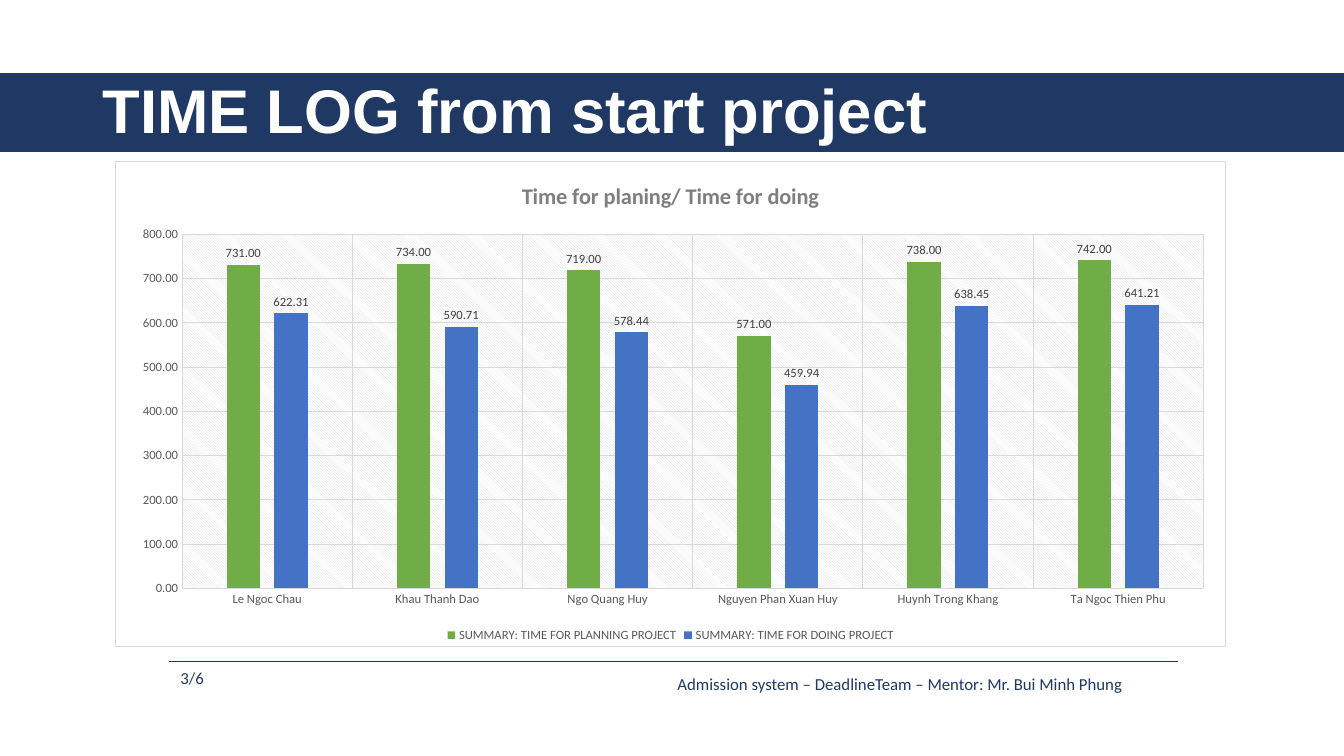
from lxml import etree
from pptx import Presentation
from pptx import util as u
from pptx.chart.data import CategoryChartData
from pptx.dml.color import RGBColor
from pptx.enum import chart as ch, shapes, text
from pptx.oxml import parse_xml
from pptx.oxml.ns import nsdecls, qn

WIDTH, HEIGHT = 13.33, 7.5
NAVY, WHITE, GRID, AXIS_TEXT = "203864", "FFFFFF", "D9D9D9", "595959"

MEMBERS = ["Le Ngoc Chau", "Khau Thanh Dao", "Ngo Quang Huy",
           "Nguyen Phan Xuan Huy", "Huynh Trong Khang", "Ta Ngoc Thien Phu"]
TIME_LOG = [
    ("SUMMARY: TIME FOR PLANNING PROJECT", "70AD47",
     [731, 734, 719, 571, 738, 742]),
    ("SUMMARY: TIME FOR DOING PROJECT", "4472C4",
     [622.31, 590.71, 578.44, 459.94, 638.45, 641.21]),
]


def color(hex_code):
    return RGBColor.from_string(hex_code)


def style_font(font, size, hex_code, name="Calibri", bold=False):
    font.size, font.name, font.bold = u.Pt(size), name, bold
    font.color.rgb = color(hex_code)


def style_line(line, hex_code, width):
    line.color.rgb = color(hex_code)
    line.width = u.Pt(width)


def add_text(slide, words, box, wrap=True, anchor=text.MSO_ANCHOR.TOP,
             spacing=1.0, **font_format):
    frame = slide.shapes.add_textbox(*map(u.Inches, box)).text_frame
    frame.word_wrap = wrap
    frame.vertical_anchor = anchor
    paragraph = frame.paragraphs[0]
    paragraph.line_spacing = spacing
    run = paragraph.add_run()
    run.text = words
    style_font(run.font, **font_format)


def add_banner(slide, top, height):
    banner = slide.shapes.add_shape(
        shapes.MSO_SHAPE.RECTANGLE, 0, u.Inches(top), u.Inches(WIDTH), u.Inches(height))
    banner.shadow.inherit = False
    banner.fill.solid()
    banner.fill.fore_color.rgb = color(NAVY)
    style_line(banner.line, NAVY, 1)


def add_footer_rule(slide, left, right, y):
    rule = slide.shapes.add_connector(
        shapes.MSO_CONNECTOR.STRAIGHT, *map(u.Inches, (left, y, right, y)))
    style_line(rule.line, NAVY, 0.5)
    etree.SubElement(rule._element.spPr, qn("a:effectLst"))


def solid_xml(hex_code):
    return f'<a:solidFill><a:srgbClr val="{hex_code}"/></a:solidFill>'


def area_format(fill, line):
    return parse_xml(f'<c:spPr {nsdecls("c", "a")}>{fill}{line}</c:spPr>')


def format_chart_areas(chart, x, y, w, h):
    """Fill the chart and plot areas; x, y, w, h place the plot as shares of the chart."""
    space = chart._chartSpace
    border = f'<a:ln w="9525">{solid_xml(GRID)}</a:ln>'
    space.find(qn("c:chart")).addnext(area_format(solid_xml(WHITE), border))

    plot_area = space.find(qn("c:chart")).find(qn("c:plotArea"))
    hatch = (f'<a:pattFill prst="ltDnDiag"><a:fgClr><a:srgbClr val="{GRID}"/></a:fgClr>'
             f'<a:bgClr><a:srgbClr val="{WHITE}"/></a:bgClr></a:pattFill>')
    plot_area.append(area_format(hatch, "<a:ln><a:noFill/></a:ln>"))
    for automatic in plot_area.findall(qn("c:layout")):
        plot_area.remove(automatic)
    shares = "".join(f'<c:{key} val="{share}"/>'
                     for key, share in zip("xywh", (x, y, w, h)))
    plot_area.insert(0, parse_xml(
        f'<c:layout {nsdecls("c")}><c:manualLayout><c:layoutTarget val="inner"/>'
        f'<c:xMode val="edge"/><c:yMode val="edge"/>{shares}'
        '</c:manualLayout></c:layout>'))


def format_axis(axis):
    axis.major_tick_mark = axis.minor_tick_mark = ch.XL_TICK_MARK.NONE
    axis.has_major_gridlines = True
    style_line(axis.major_gridlines.format.line, GRID, 0.75)
    style_font(axis.tick_labels.font, 9, AXIS_TEXT)


def format_series(series, hex_code):
    series.format.fill.solid()
    series.format.fill.fore_color.rgb = color(hex_code)
    labels = series.data_labels
    labels.show_value = True
    labels.position = ch.XL_LABEL_POSITION.OUTSIDE_END
    labels.number_format, labels.number_format_is_linked = "0.00", False
    style_font(labels.font, 9, "404040")


def add_time_chart(slide, box):
    log = CategoryChartData(number_format="0.00")
    log.categories = MEMBERS
    for name, _, hours in TIME_LOG:
        log.add_series(name, hours)
    chart = slide.shapes.add_chart(
        ch.XL_CHART_TYPE.COLUMN_CLUSTERED, *map(u.Inches, box), log).chart
    style_font(chart.font, 10, "000000")

    chart.has_title = True
    heading = chart.chart_title.text_frame.paragraphs[0].add_run()
    heading.text = "Time for planing/ Time for doing"
    style_font(heading.font, 16, "7F7F7F", bold=True)
    chart.chart_title.include_in_layout = False

    chart.has_legend = True
    chart.legend.position = ch.XL_LEGEND_POSITION.BOTTOM
    chart.legend.include_in_layout = False
    style_font(chart.legend.font, 9, AXIS_TEXT)

    members, hours_axis = chart.category_axis, chart.value_axis
    for axis in (members, hours_axis):
        format_axis(axis)
    style_line(members.format.line, GRID, 0.75)
    hours_axis.format.line.fill.background()
    hours_axis.minimum_scale, hours_axis.maximum_scale = 0, 800
    hours_axis.major_unit = 100
    hours_axis.tick_labels.number_format = "0.00"
    hours_axis.tick_labels.number_format_is_linked = False

    columns = chart.plots[0]
    columns.gap_width, columns.overlap = 267, -43
    columns.vary_by_categories = False
    for series, (_, hex_code, _) in zip(columns.series, TIME_LOG):
        format_series(series, hex_code)
    format_chart_areas(chart, 0.06, 0.15, 0.92, 0.73)


def main():
    deck = Presentation()
    deck.slide_width, deck.slide_height = u.Inches(WIDTH), u.Inches(HEIGHT)
    slide = deck.slides.add_slide(deck.slide_layouts[6])

    add_banner(slide, 0.73, 0.77)
    add_text(slide, "TIME LOG from start project", (0.92, 0.4, 11.5, 1.45),
             anchor=text.MSO_ANCHOR.MIDDLE, spacing=0.9,
             size=44, hex_code=WHITE, name="Arial", bold=True)
    add_footer_rule(slide, 1.68, 11.68, 6.56)
    add_text(slide, "Admission system – DeadlineTeam – Mentor: Mr. Bui Minh Phung",
             (6.62, 6.63, 5.08, 0.3), wrap=False, size=12, hex_code=NAVY)
    add_text(slide, "3/6", (1.69, 6.58, 0.51, 0.3), size=12, hex_code=NAVY)
    add_time_chart(slide, (1.14, 1.6, 11.02, 4.82))

    deck.save("out.pptx")


if __name__ == "__main__":
    main()
